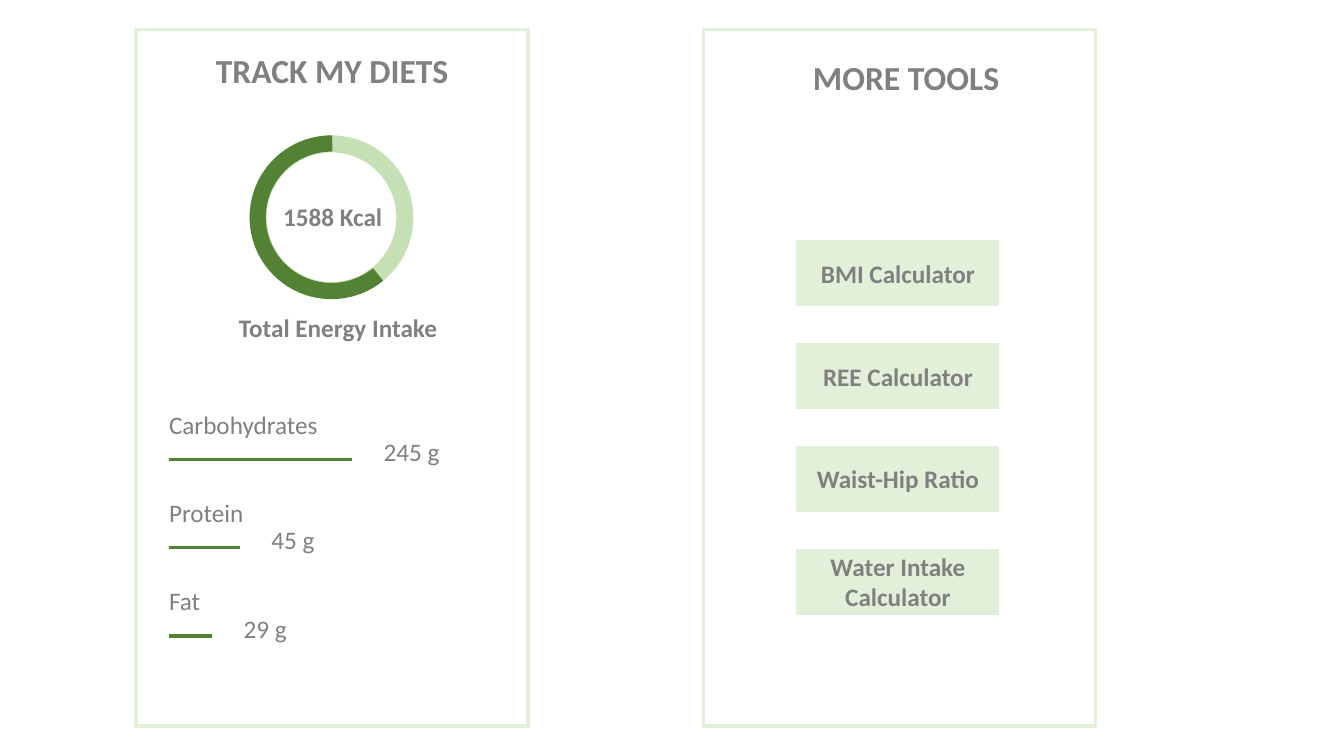
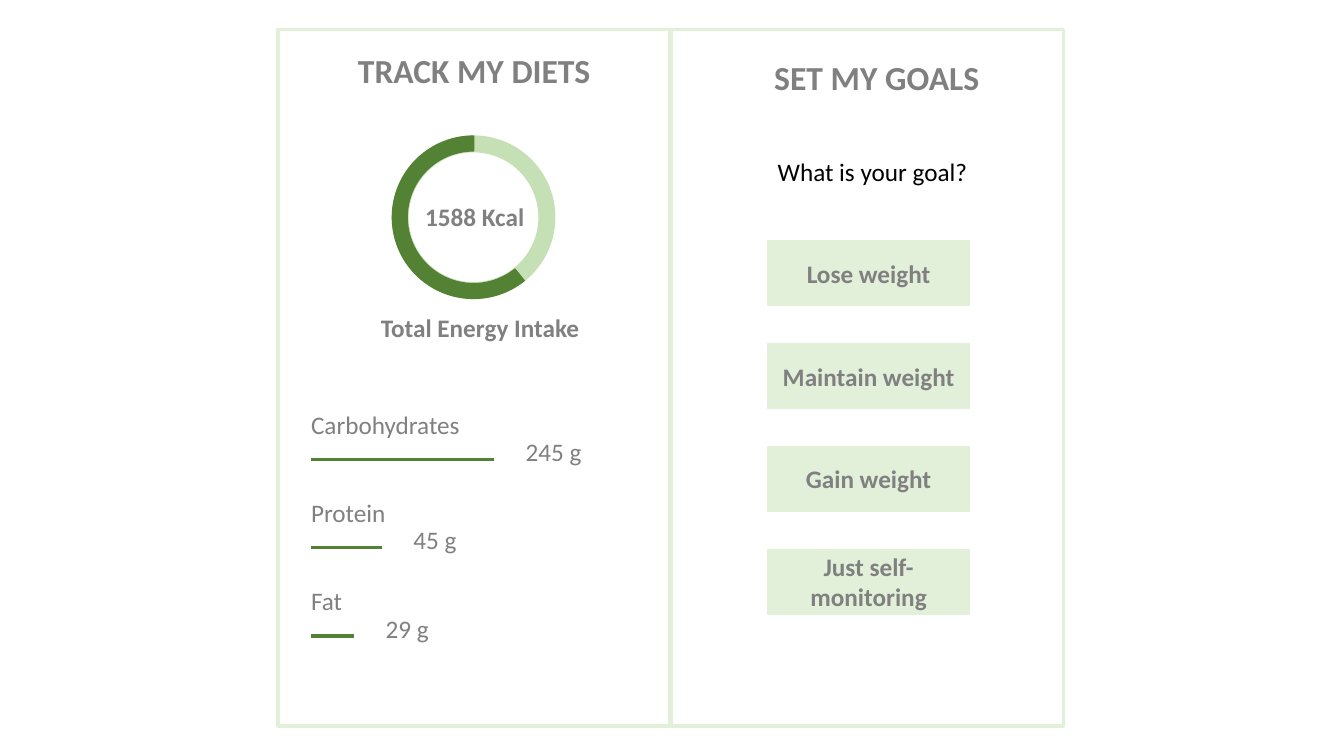
"""Build two slides of diet-tracking app screens."""
from lxml import etree
from pptx import Presentation
from pptx import util as u
from pptx.dml import color
from pptx.enum import shapes, text
from pptx.oxml import ns

GREY, BLACK, WHITE = "808080", "000000", "FFFFFF"
PALE, LIGHT, DARK = "E2F0D9", "C5E0B4", "548235"
FONT = {"name": "Calibri", "size": u.Pt(18), "bold": False}
STRONG = {**FONT, "bold": True}
HEADING = {**STRONG, "size": u.Pt(24)}
BOX_FRAME = {"word_wrap": True, "auto_size": text.MSO_AUTO_SIZE.SHAPE_TO_FIT_TEXT}
BUTTON_FRAME = {"word_wrap": True, "vertical_anchor": text.MSO_ANCHOR.MIDDLE}
LEFT, CENTER = text.PP_ALIGN.LEFT, text.PP_ALIGN.CENTER
PANEL_TOP, PANEL_WIDTH, PANEL_HEIGHT = 0.74, 9.88, 17.55
LINE_HEIGHT = 1.02
NUTRIENTS = [("Carbohydrates", "245 g", 4.6), ("Protein", "45 g", 1.77), ("Fat", "29 g", 1.07)]


def rgb(value):
    """Return a colour from its hex string."""
    return color.RGBColor.from_string(value)


def apply(target, values):
    """Set each named attribute on the target."""
    for key, value in values.items():
        setattr(target, key, value)


def write(frame, words, font, hue, align, layout):
    """Put one formatted paragraph into a text frame."""
    apply(frame, layout)
    paragraph = frame.paragraphs[0]
    paragraph.alignment = align
    run = paragraph.add_run()
    run.text = words
    apply(run.font, font)
    run.font.color.rgb = rgb(hue)


def add_label(panel, words, left, top, width, font=FONT, hue=GREY, align=LEFT, height=LINE_HEIGHT):
    """Add a line of free-standing text."""
    label = panel.add_textbox(u.Cm(left), u.Cm(top), u.Cm(width), u.Cm(height))
    write(label.text_frame, words, font, hue, align, BOX_FRAME)


def add_heading(panel, words, left, top, width):
    """Add a panel heading."""
    add_label(panel, words, left, top, width, HEADING, align=CENTER, height=1.27)


def add_figure(panel, preset, left, top, width, height, fill, outline, weight=1):
    """Add a filled and outlined preset shape."""
    figure = panel.add_shape(preset, u.Cm(left), u.Cm(top), u.Cm(width), u.Cm(height))
    figure.shadow.inherit = False
    figure.fill.solid()
    figure.fill.fore_color.rgb = rgb(fill)
    figure.line.color.rgb = rgb(outline)
    figure.line.width = u.Pt(weight)
    return figure


def add_panel(slide, left):
    """Add a framed panel and return its group's shapes."""
    panel = slide.shapes.add_group_shape().shapes
    add_figure(panel, shapes.MSO_SHAPE.RECTANGLE, left, PANEL_TOP,
               PANEL_WIDTH, PANEL_HEIGHT, WHITE, PALE, 2.5)
    return panel


def add_button(panel, words, left, top):
    """Add a pale button with a centred caption."""
    button = add_figure(panel, shapes.MSO_SHAPE.RECTANGLE, left, top, 5.08, 1.63, PALE, PALE)
    write(button.text_frame, words, STRONG, GREY, CENTER, BUTTON_FRAME)


def add_bar(panel, left, top, length):
    """Add a horizontal line that stands for an amount."""
    bar = panel.add_connector(shapes.MSO_CONNECTOR.STRAIGHT,
                              u.Cm(left), u.Cm(top), u.Cm(left + length), u.Cm(top))
    bar.line.color.rgb = rgb(DARK)
    bar.line.width = u.Pt(2.5)
    etree.SubElement(bar.line._get_or_add_ln().getparent(), ns.qn("a:effectLst"))


def add_energy_ring(panel, left, top):
    """Add the ring that shows the share of energy taken in."""
    size = 4.09
    ring = add_figure(panel, shapes.MSO_SHAPE.DONUT, left, top, size, size, LIGHT, LIGHT)
    ring.adjustments[0] = 0.096
    share = add_figure(panel, shapes.MSO_SHAPE.BLOCK_ARC, left, top, size, size, DARK, DARK)
    share.rotation = 288.5
    for index, value in enumerate((73.71, 204.94, 0.091)):
        share.adjustments[index] = value


def add_diet_panel(slide, left):
    """Add the panel that tracks energy and nutrients."""
    panel = add_panel(slide, left)
    add_heading(panel, "TRACK MY DIETS", left + 1.65, 1.14, 6.58)
    add_energy_ring(panel, left + 2.88, 3.43)
    add_label(panel, "1588 Kcal", left + 3.1, 4.95, 3.71, STRONG, align=CENTER)
    add_label(panel, "Total Energy Intake", left + 2.34, 7.75, 5.59, STRONG)
    for row, (nutrient, amount, length) in enumerate(NUTRIENTS):
        top = 10.19 + row * 2.22
        add_label(panel, nutrient, left + 0.58, top, 4.83)
        add_bar(panel, left + 0.84, top + 1.39, length)
        add_label(panel, amount, left + 0.84 + length + 0.55, top + 0.69, 1.98)


def add_menu_panel(slide, left, heading, choices, button_left, question=None):
    """Add a panel with a heading, an optional question and a column of buttons."""
    panel = add_panel(slide, left)
    add_heading(panel, heading, button_left - 0.43, 1.31, 6.35)
    if question:
        add_label(panel, question, button_left, 3.81, 5.46, hue=BLACK)
    for row, choice in enumerate(choices):
        add_button(panel, choice, button_left, 6.07 + row * 2.59)


def main():
    """Build and save the presentation."""
    deck = Presentation()
    apply(deck, {"slide_width": u.Cm(33.87), "slide_height": u.Cm(19.05)})
    blank = deck.slide_layouts[6]

    tools = deck.slides.add_slide(blank)
    add_menu_panel(tools, 17.73, "MORE TOOLS",
                   ["BMI Calculator", "REE Calculator", "Waist-Hip Ratio",
                    "Water Intake Calculator"], 20.09)
    add_diet_panel(tools, 3.43)

    goals = deck.slides.add_slide(blank)
    add_menu_panel(goals, 16.92, "SET MY GOALS",
                   ["Lose weight", "Maintain weight", "Gain weight", "Just self-monitoring"],
                   19.35, "What is your goal?")
    add_diet_panel(goals, 7.01)

    deck.save("out.pptx")


if __name__ == "__main__":
    main()
